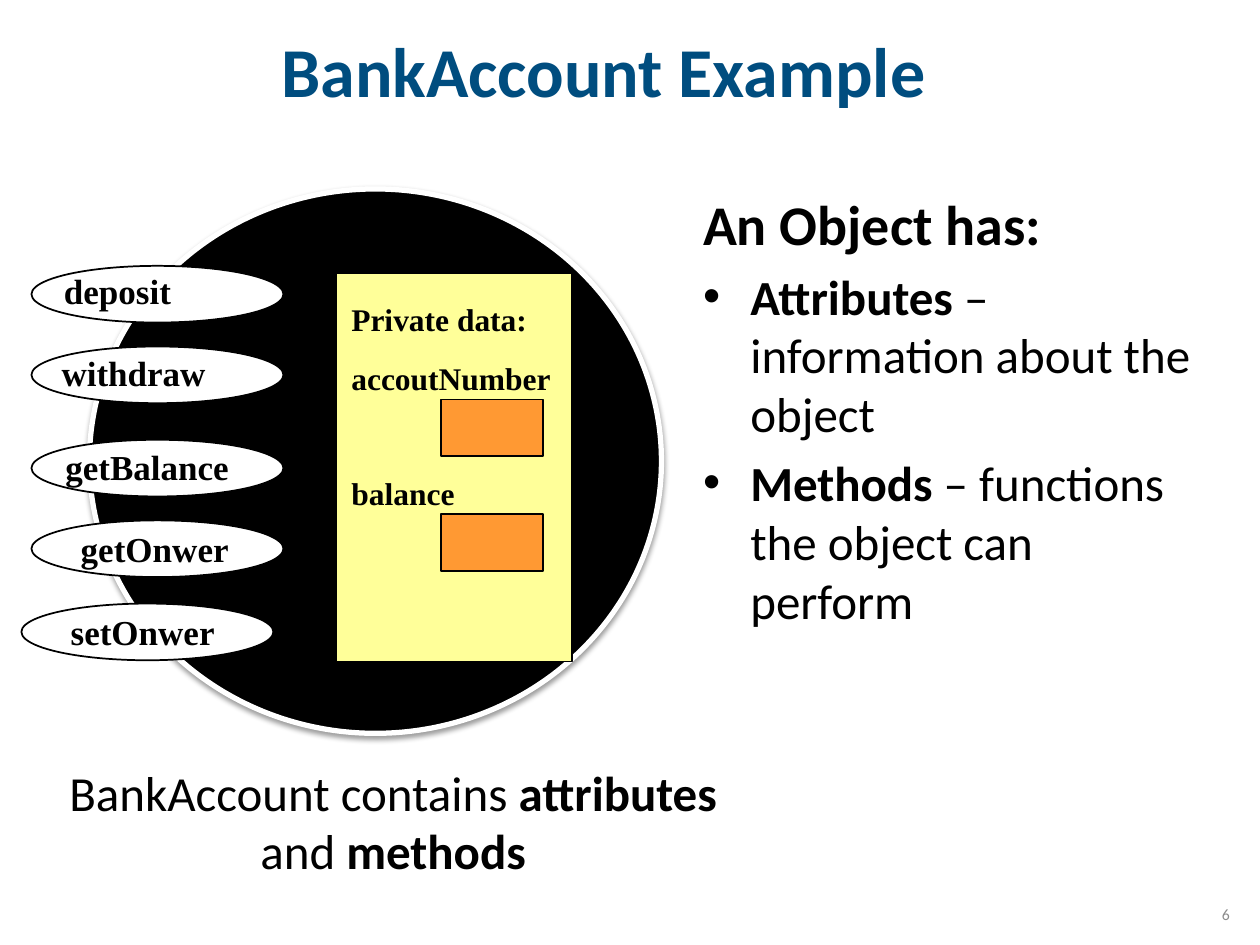
from dataclasses import dataclass
from typing import Optional

from lxml import etree
from pptx import Presentation
from pptx import util as u
from pptx.dml.color import RGBColor
from pptx.enum import shapes, text
from pptx.oxml import parse_xml
from pptx.oxml.ns import nsdecls, qn

BLACK = RGBColor(0x00, 0x00, 0x00)
WHITE = RGBColor(0xFF, 0xFF, 0xFF)
NAVY = RGBColor(0x00, 0x4D, 0x7F)
GREY = RGBColor(0x8C, 0x8C, 0x8C)
YELLOW = RGBColor(0xFF, 0xFF, 0x99)
ORANGE = RGBColor(0xFF, 0x99, 0x33)

SANS, SERIF = "Calibri", "Times New Roman"
COLUMNS, ROWS = 100, 75
OVAL, RECT = shapes.MSO_SHAPE.OVAL, shapes.MSO_SHAPE.RECTANGLE
LEFT, CENTER, RIGHT = text.PP_ALIGN.LEFT, text.PP_ALIGN.CENTER, text.PP_ALIGN.RIGHT
TOP, MIDDLE = text.MSO_ANCHOR.TOP, text.MSO_ANCHOR.MIDDLE

prs = Presentation()
prs.slide_width, prs.slide_height = u.Inches(10), u.Inches(7.5)
slide = prs.slides.add_slide(prs.slide_layouts[1])


@dataclass(frozen=True)
class Box:
    """Left, top, width and height in grid columns and rows."""
    col: float
    row: float
    cols: float
    rows: float

    def emu(self) -> tuple[int, int, int, int]:
        col, row = prs.slide_width / COLUMNS, prs.slide_height / ROWS
        return (round(self.col * col), round(self.row * row),
                round(self.cols * col), round(self.rows * row))


@dataclass(frozen=True)
class Method:
    name: str
    col: float
    row: float
    label: Optional[Box] = None  # None: the name stands in the oval itself


def write(frame, paragraphs, *, size, font=SANS, color=BLACK, align=LEFT,
          anchor=TOP, wrap=True):
    """Fill a frame; each paragraph is a list of (words, bold) runs."""
    frame.word_wrap = wrap
    frame.auto_size = text.MSO_AUTO_SIZE.NONE
    frame.vertical_anchor = anchor
    for index, runs in enumerate(paragraphs):
        paragraph = frame.add_paragraph() if index else frame.paragraphs[0]
        paragraph.alignment = align
        for words, bold in runs:
            run = paragraph.add_run()
            run.text = words
            run.font.name, run.font.size = font, u.Pt(size)
            run.font.bold, run.font.color.rgb = bold, color
    return frame


def add_label(box: Box, paragraphs, **style):
    return write(slide.shapes.add_textbox(*box.emu()).text_frame, paragraphs, **style)


def add_block(kind, box: Box, fill: RGBColor, line: RGBColor = BLACK, width: float = 1):
    shape = slide.shapes.add_shape(kind, *box.emu())
    shape.shadow.inherit = False
    shape.fill.solid()
    shape.fill.fore_color.rgb = fill
    shape.line.color.rgb = line
    shape.line.width = u.Pt(width)
    return shape


def add_soft_shadow(shape):
    effects = shape._element.spPr.find(qn("a:effectLst"))
    effects.append(parse_xml(
        f'<a:outerShdw {nsdecls("a")} blurRad="40000" dist="20000" dir="5400000" '
        'rotWithShape="0"><a:srgbClr val="000000"><a:alpha val="38000"/>'
        '</a:srgbClr></a:outerShdw>'))


def add_method(method: Method):
    oval = add_block(OVAL, Box(method.col, method.row, 20, 4.5), WHITE)
    style = dict(size=20, font=SERIF, wrap=False)
    name = [[(method.name, True)]]
    if method.label:
        add_label(method.label, name, **style)
    else:
        write(oval.text_frame, name, anchor=MIDDLE, **style)


def place(placeholder, box: Box):
    placeholder.left, placeholder.top, placeholder.width, placeholder.height = box.emu()
    return placeholder.text_frame


METHODS = [
    Method("deposit", 2.5, 21.1, Box(4.1, 20.9, 10.6, 4.4)),
    Method("withdraw", 2.5, 27.5, Box(3.9, 27.4, 13.6, 4.4)),
    Method("getBalance", 2.5, 34.9, Box(4.2, 34.9, 15.1, 4.4)),
    Method("getOnwer", 2.5, 41.3),
    Method("setOnwer", 1.7, 47.9),
]
# Attribute line of the data panel and the space before it in points
PRIVATE_DATA = {"Private data:": 0, "accoutNumber": 12.5, "balance": 44}
VALUE_ROWS = (31.7, 40.8)


def main():
    write(place(slide.shapes.title, Box(0, 1.7, 95.8, 7.7)),
          [[("BankAccount Example", True)]],
          size=40, color=NAVY, align=CENTER, anchor=MIDDLE)

    traits = write(place(slide.placeholders[1], Box(54.8, 14.5, 41.7, 46.7)),
                   [[("An Object has:", True)],
                    [("Attributes ", True), ("– information about the object", False)],
                    [("Methods", True), (" – functions the object can perform", False)]],
                   size=28)
    heading = traits.paragraphs[0]
    heading.runs[0].font.size = u.Pt(32)
    etree.SubElement(heading._p.get_or_add_pPr(), qn("a:buNone"))

    add_soft_shadow(add_block(OVAL, Box(7.1, 15, 45.4, 43.2), BLACK, WHITE, 3))
    for method in METHODS:
        add_method(method)

    add_block(RECT, Box(26.7, 21.7, 18.7, 30.8), YELLOW)
    fields = add_label(Box(26.9, 23.3, 17.8, 28), [[(name, True)] for name in PRIVATE_DATA],
                       size=18, font=SERIF)
    for paragraph, gap in zip(fields.paragraphs, PRIVATE_DATA.values()):
        paragraph.space_before = u.Pt(gap)
    for row in VALUE_ROWS:
        add_block(RECT, Box(35, row, 8.1, 4.5), ORANGE)

    add_label(Box(3.3, 60, 55.8, 10.4),
              [[("BankAccount contains ", False), ("attributes", True)],
               [("and ", False), ("methods", True)]],
              size=28, align=CENTER)
    add_label(Box(95, 70.8, 3.6, 3.5), [[("6", False)]],
              size=9, color=GREY, align=RIGHT, anchor=MIDDLE)
    prs.save("out.pptx")


if __name__ == "__main__":
    main()
